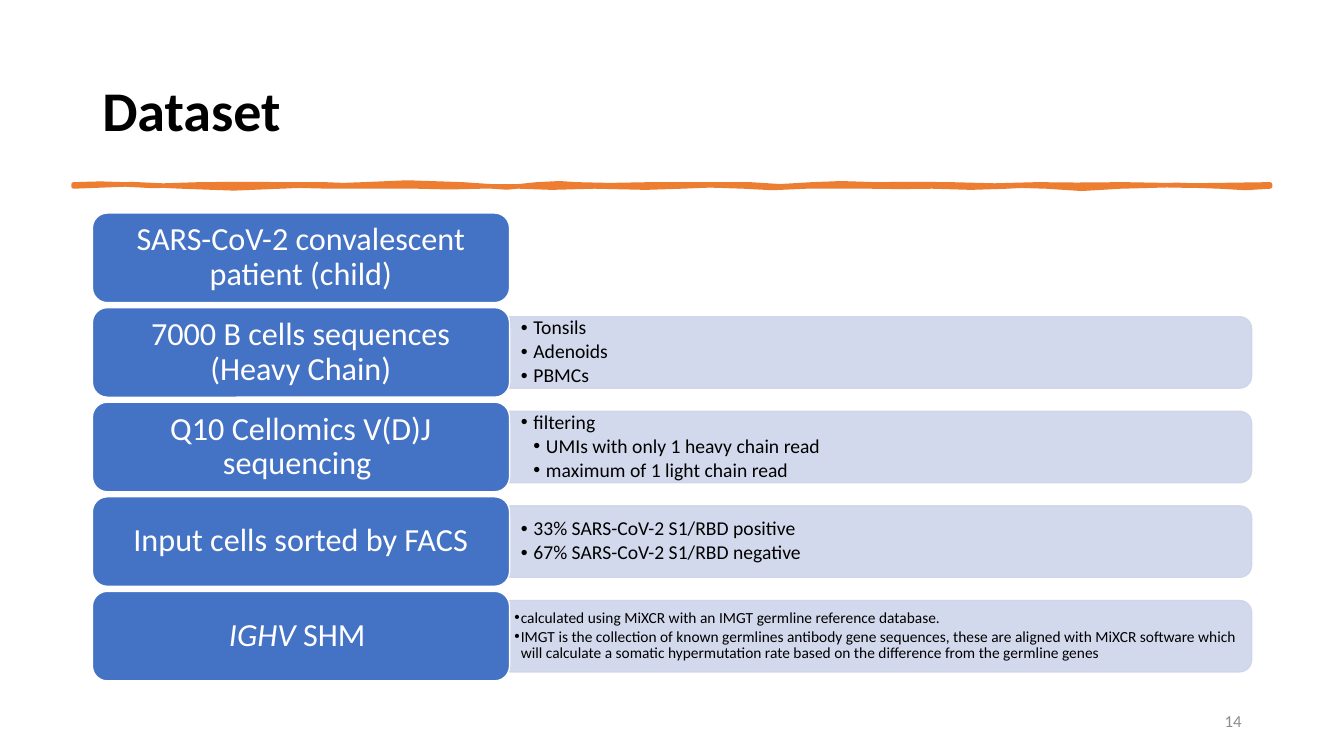
import pptx
import pptx.util
import pptx.dml.color
import pptx.enum.shapes
import pptx.enum.text
import pptx.oxml.ns
import lxml.etree

Pt = pptx.util.Pt
SHAPE = pptx.enum.shapes.MSO_SHAPE
ALIGN = pptx.enum.text.PP_ALIGN
qn = pptx.oxml.ns.qn
COLORS = {"blue": "4472C4", "panel": "CFD5EA", "orange": "ED7D31",
          "white": "FFFFFF", "black": "000000", "grey": "8C8C8C"}


def paint(sp, fill, line, width):
    sp.shadow.inherit = False
    sp.fill.solid()
    sp.fill.fore_color.rgb = pptx.dml.color.RGBColor.from_string(COLORS[fill])
    sp.line.color.rgb = pptx.dml.color.RGBColor.from_string(COLORS[line])
    sp.line.width = Pt(width)


def write(sp, paragraphs, size, color, align=ALIGN.LEFT, spacing=1.0, after=0,
          insets=(7.2, 3.6), step=0, bold=False):
    """Fill a shape with (level, [(text, italic), ...]) paragraphs; step is the bullet indent."""
    tf = sp.text_frame
    side, edge = map(Pt, insets)
    frame = {"word_wrap": True, "vertical_anchor": pptx.enum.text.MSO_ANCHOR.MIDDLE,
             "margin_left": side, "margin_right": side,
             "margin_top": edge, "margin_bottom": edge}
    for name, value in frame.items():
        setattr(tf, name, value)
    for i, (level, runs) in enumerate(paragraphs):
        p = tf.paragraphs[0] if i == 0 else tf.add_paragraph()
        if step:
            pPr = p._p.get_or_add_pPr()
            pPr.set("marL", str(Pt(step * level)))
            pPr.set("indent", str(-Pt(step)))
            lxml.etree.SubElement(pPr, qn("a:buFont")).set("typeface", "Arial")
            lxml.etree.SubElement(pPr, qn("a:buChar")).set("char", "•")
        layout = {"level": level, "alignment": align,
                  "line_spacing": spacing, "space_after": Pt(after)}
        for name, value in layout.items():
            setattr(p, name, value)
        for text, italic in runs:
            r = p.add_run()
            r.text = text
            font = {"name": "Calibri", "size": Pt(size), "bold": bold, "italic": italic}
            for name, value in font.items():
                setattr(r.font, name, value)
            r.font.color.rgb = pptx.dml.color.RGBColor.from_string(COLORS[color])


prs = pptx.Presentation()
prs.slide_width, prs.slide_height = Pt(960), Pt(540)
s = prs.slides.add_slide(prs.slide_layouts[6])

# Title
title = s.shapes.add_textbox(Pt(66), Pt(28.8), Pt(828), Pt(104.4))
write(title, [(0, [("Dataset", False)])], 40, "black", spacing=0.9, bold=True)

# Brushed rule: curves as (control x, y, control x, y, end x), in units of 0.72 pt
TOP, BOTTOM, LEFT, UNIT = 183, 185, 73, 0.72
upper = [
    (89, 181, 111, 183, 124), (136, 184, 162, 186, 198), (234, 181, 251, 184, 284),
    (317, 183, 307, 183, 322), (338, 184, 342, 184, 361), (380, 182, 424, 179, 459),
    (494, 188, 517, 186, 533), (549, 181, 563, 182, 572), (581, 185, 625, 183, 646),
    (667, 184, 723, 182, 744), (765, 185, 782, 186, 806), (830, 181, 838, 182, 868),
    (899, 185, 914, 180, 943), (972, 187, 1002, 182, 1029), (1055, 185, 1078, 182, 1115),
    (1151, 185, 1199, 184, 1260)]
lower = [
    (1242, 187, 1230, 187, 1210), (1190, 184, 1149, 182, 1112), (1075, 189, 1070, 187, 1038),
    (1005, 184, 1018, 184, 999), (980, 187, 948, 186, 925), (902, 185, 884, 186, 863),
    (841, 185, 828, 185, 800), (773, 186, 757, 188, 738), (719, 183, 688, 184, 676),
    (663, 187, 624, 186, 590), (555, 185, 537, 188, 515), (494, 183, 491, 187, 477),
    (463, 184, 430, 188, 414), (399, 183, 371, 187, 328), (286, 183, 303, 185, 278),
    (253, 187, 213, 188, 180), (147, 182, 118, 182, 73)]
outline = [(LEFT, TOP)]
for y, curves in ((TOP, upper), (BOTTOM, lower)):
    outline.append((outline[-1][0], y))
    for x1, y1, x2, y2, x3 in curves:
        x0 = outline[-1][0]
        for t in (0.5, 1):
            a, b, c, d = (1 - t) ** 3, 3 * t * (1 - t) ** 2, 3 * t * t * (1 - t), t ** 3
            outline.append((a * x0 + b * x1 + c * x2 + d * x3,
                            (a + d) * y + b * y1 + c * y2))
points = [(Pt(x * UNIT), Pt(y * UNIT)) for x, y in outline]
fb = s.shapes.build_freeform(*points[0])
fb.add_line_segments(points[1:], close=True)
paint(fb.convert_to_shape(), "orange", "orange", 3.25)

# Rows: label, then bullets as (level, text)
rows = [
    ([("SARS-CoV-2 convalescent patient (child)", False)], []),
    ([("7000 B cells sequences (Heavy Chain)", False)],
     [(1, "Tonsils"), (1, "Adenoids"), (1, "PBMCs")]),
    ([("Q10 Cellomics V(D)J sequencing ", False)],
     [(1, "filtering"), (2, "UMIs with only 1 heavy chain read"),
      (2, "maximum of 1 light chain read")]),
    ([("Input cells sorted by FACS", False)],
     [(1, "33% SARS-CoV-2 S1/RBD positive"), (1, "67% SARS-CoV-2 S1/RBD negative")]),
    ([("IGHV ", True), ("SHM ", False)],
     [(1, "calculated using MiXCR with an IMGT germline reference database."),
      (1, "IMGT is the collection of known germlines antibody gene sequences, these are "
          "aligned with MiXCR software which will calculate a somatic hypermutation rate "
          "based on the difference from the germline genes")]),
]
normal = {"size": 14, "step": 9, "after": 2, "insets": (8, 4)}
small = {"size": 11, "step": 4.5, "after": 1.5, "insets": (3.5, 1.75)}
ROW_TOP, PITCH, LABEL_H = 152.2, 67.55, 64
PANEL_LEFT, PANEL_W, PANEL_H, TEXT_W, TEXT_H = 364, 530, 51, 528, 46

for i, (label, bullets) in enumerate(rows):
    top = ROW_TOP + i * PITCH
    middle = top + LABEL_H / 2
    if bullets:
        # Panel is a top-rounded rectangle turned a quarter
        panel = s.shapes.add_shape(
            SHAPE.ROUND_2_SAME_RECTANGLE, Pt(PANEL_LEFT + (PANEL_W - PANEL_H) / 2),
            Pt(middle - PANEL_W / 2), Pt(PANEL_H), Pt(PANEL_W))
        panel.rotation = 90
        paint(panel, "panel", "panel", 1)
        for color in panel._element.spPr.iter(qn("a:srgbClr")):
            lxml.etree.SubElement(color, qn("a:alpha")).set("val", "90000")
        details = s.shapes.add_textbox(Pt(PANEL_LEFT), Pt(middle - TEXT_H / 2),
                                       Pt(TEXT_W), Pt(TEXT_H))
        style = small if i == len(rows) - 1 else normal
        write(details, [(level, [(text, False)]) for level, text in bullets],
              color="black", spacing=0.9, **style)
    box = s.shapes.add_shape(SHAPE.ROUNDED_RECTANGLE, Pt(66), Pt(top), Pt(298), Pt(LABEL_H))
    paint(box, "blue", "white", 1)
    write(box, [(0, label)], 23, "white", ALIGN.CENTER, spacing=0.9, insets=(7, 3.6))

# Slide number
number = s.shapes.add_textbox(Pt(678), Pt(500.4), Pt(216), Pt(28.8))
write(number, [(0, [("14", False)])], 12, "grey", ALIGN.RIGHT, after=6)

prs.save("out.pptx")
